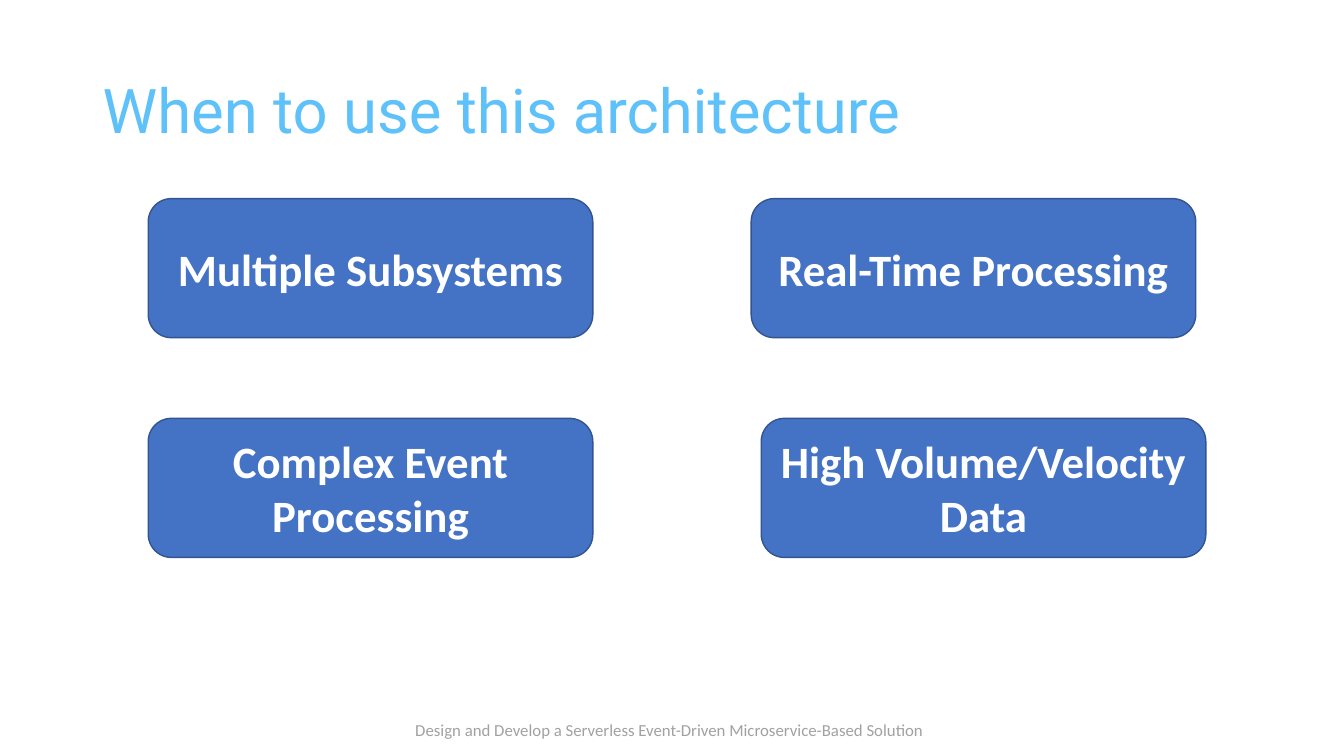
from pptx import Presentation
from pptx import util as u
from pptx.dml.color import RGBColor
from pptx.enum import shapes, text

EMU_PER_PX = 9144
CARD_WIDTH, CARD_HEIGHT = 441, 138
TOP_ROW, BOTTOM_ROW = 197, 415
CARDS = [
    ("High Volume/Velocity Data", 755, BOTTOM_ROW),
    ("Real-Time Processing", 745, TOP_ROW),
    ("Multiple Subsystems", 147, TOP_ROW),
    ("Complex Event Processing", 147, BOTTOM_ROW),
]


def px(length):
    return u.Emu(length * EMU_PER_PX)


def color(value):
    return RGBColor.from_string(value)


def write(shape, words, size, font_name, font_color, bold=False):
    paragraph = shape.text_frame.paragraphs[0]
    run = paragraph.add_run()
    run.text = words
    run.font.size = u.Pt(size)
    run.font.name = font_name
    run.font.bold = bold
    run.font.color.rgb = color(font_color)
    return paragraph


def add_label(slide, words, box, size, font_name, font_color, wrap=True):
    label = slide.shapes.add_textbox(*map(px, box))
    label.text_frame.word_wrap = wrap
    label.text_frame.vertical_anchor = text.MSO_ANCHOR.MIDDLE if wrap else text.MSO_ANCHOR.TOP
    return write(label, words, size, font_name, font_color)


def add_card(slide, words, left, top):
    card = slide.shapes.add_shape(
        shapes.MSO_SHAPE.ROUNDED_RECTANGLE, px(left), px(top), px(CARD_WIDTH), px(CARD_HEIGHT)
    )
    card.shadow.inherit = False
    card.fill.solid()
    card.fill.fore_color.rgb = color("4472C4")
    card.line.color.rgb = color("325491")
    card.line.width = u.Pt(1)
    card.text_frame.word_wrap = True
    card.text_frame.vertical_anchor = text.MSO_ANCHOR.MIDDLE
    paragraph = write(card, words, 32, "Calibri", "FFFFFF", bold=True)
    paragraph.alignment = text.PP_ALIGN.CENTER


def main():
    presentation = Presentation()
    presentation.slide_width = px(1333)
    presentation.slide_height = px(750)
    slide = presentation.slides.add_slide(presentation.slide_layouts[6])

    add_label(
        slide,
        "Design and Develop a Serverless Event-Driven Microservice-Based Solution",
        (402, 709, 530, 30), 12, "Calibri", "A2A1A1", wrap=False,
    )
    title = add_label(
        slide, "When to use this architecture", (92, 40, 1150, 145), 44, "Roboto", "5FC1F9"
    )
    title.line_spacing = 0.9
    for words, left, top in CARDS:
        add_card(slide, words, left, top)

    presentation.save("out.pptx")


if __name__ == "__main__":
    main()
